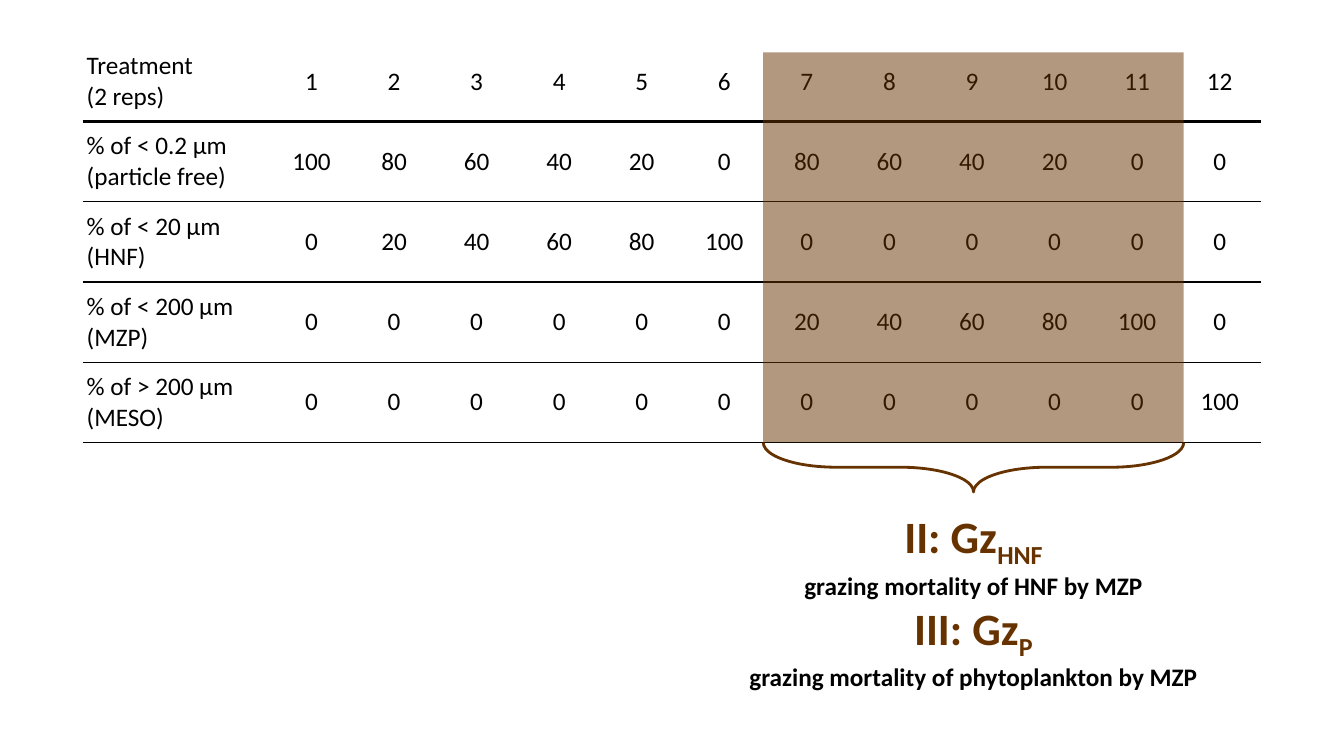
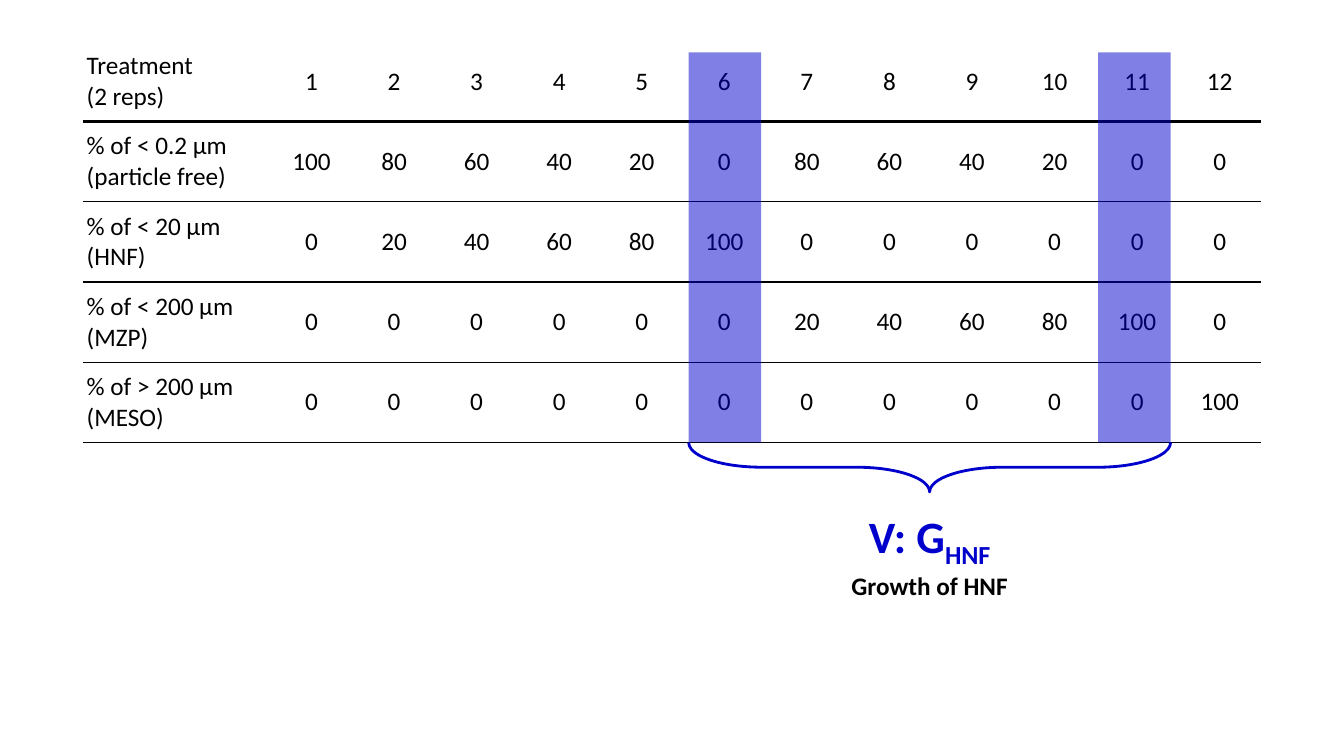
from lxml import etree
from pptx import Presentation
from pptx.dml.color import RGBColor
from pptx.enum.shapes import MSO_SHAPE
from pptx.enum.text import MSO_ANCHOR, MSO_AUTO_SIZE, PP_ALIGN
from pptx.oxml.ns import qn
from pptx.util import Inches, Pt

RECT, BRACE = MSO_SHAPE.RECTANGLE, MSO_SHAPE.RIGHT_BRACE
LEFT, CENTER, MIDDLE = PP_ALIGN.LEFT, PP_ALIGN.CENTER, MSO_ANCHOR.MIDDLE
FIT_SHAPE = MSO_AUTO_SIZE.SHAPE_TO_FIT_TEXT

# Content
ROWS = [
    (("Treatment", "(2 reps)"), range(1, 13)),
    (("% of < 0.2 μm", "(particle free)"),
     (100, 80, 60, 40, 20, 0, 80, 60, 40, 20, 0, 0)),
    (("% of < 20 μm", "(HNF)"),
     (0, 20, 40, 60, 80, 100, 0, 0, 0, 0, 0, 0)),
    (("% of < 200 μm", "(MZP)"),
     (0, 0, 0, 0, 0, 0, 20, 40, 60, 80, 100, 0)),
    (("% of > 200 μm", "(MESO)"),
     (0, 0, 0, 0, 0, 0, 0, 0, 0, 0, 0, 100)),
]
# Bands are (left, width); results are (term, subscript, meaning)
SLIDES = [
    dict(color="663300", bands=[(7.57, 4.17)], text_size=(5.24, 1.78),
         results=[("II: Gz", "HNF", "grazing mortality of HNF by MZP"),
                  ("III: Gz", "P", "grazing mortality of phytoplankton by MZP")]),
    dict(color="0000CC", bands=[(6.83, 0.72), (10.89, 0.72)], text_size=(1.77, 0.94),
         results=[("V: G", "HNF", "Growth of HNF")]),
]

# Shared style and layout
FONT, BLACK = "Calibri", "000000"
BODY_SIZE, TERM_SIZE = 18, 32
TABLE_LEFT, TABLE_TOP, TABLE_W, TABLE_H = 0.82, 0.41, 11.69, 3.98
LABEL_W = 1.86
BAND_TOP, TABLE_BOTTOM = 0.52, TABLE_TOP + TABLE_H
BRACE_DEPTH, TEXT_TOP = 0.49, 5
HEADER_RULE, ROW_RULE = 3, 1
PLAIN_TABLE = "{2D5ABB26-0587-4C30-8999-92F81FD0307C}"


def rgb(color):
    return RGBColor.from_string(color)


def add_run(p, text, size, color=BLACK, bold=False, subscript=False):
    r = p.add_run()
    r.text = text
    r.font.name, r.font.size, r.font.bold = FONT, Pt(size), bold
    r.font.color.rgb = rgb(color)
    if subscript:
        r.font._element.set("baseline", "-25000")


def add_lines(tf, count):
    """Return the given number of paragraphs of an empty text frame."""
    return [tf.paragraphs[0]] + [tf.add_paragraph() for _ in range(count - 1)]


def set_rule(cell, edge, width):
    ln = etree.Element(qn("a:" + edge), w=str(Pt(width)))
    fill = etree.SubElement(ln, qn("a:solidFill"))
    etree.SubElement(fill, qn("a:srgbClr"), val=BLACK)
    cell._tc.get_or_add_tcPr().insert(0, ln)


def fill_cell(cell, lines, align):
    cell.fill.background()
    cell.vertical_anchor = MIDDLE
    cell.margin_left = cell.margin_right = Inches(0.04)
    cell.margin_top = cell.margin_bottom = Inches(0.02)
    for p, line in zip(add_lines(cell.text_frame, len(lines)), lines):
        p.alignment = align
        add_run(p, line, BODY_SIZE)


def add_treatments(s):
    columns = len(ROWS[0][1]) + 1
    frame = s.shapes.add_table(len(ROWS), columns, Inches(TABLE_LEFT), Inches(TABLE_TOP),
                               Inches(TABLE_W), Inches(TABLE_H))
    table = frame.table
    table._tbl.tblPr.find(qn("a:tableStyleId")).text = PLAIN_TABLE
    table.first_row = table.horz_banding = False
    for j, column in enumerate(table.columns):
        column.width = Inches((TABLE_W - LABEL_W) / (columns - 1) if j else LABEL_W)
    for i, (label, values) in enumerate(ROWS):
        texts = [label] + [(str(v),) for v in values]
        for j, lines in enumerate(texts):
            cell = table.cell(i, j)
            fill_cell(cell, lines, CENTER if j else LEFT)
            set_rule(cell, "lnB", ROW_RULE if i else HEADER_RULE)
            if i:
                set_rule(cell, "lnT", HEADER_RULE if i == 1 else ROW_RULE)


def add_band(s, left, width, color):
    sp = s.shapes.add_shape(RECT, Inches(left), Inches(BAND_TOP),
                            Inches(width), Inches(TABLE_BOTTOM - BAND_TOP))
    sp.shadow.inherit = False
    sp.line.fill.background()
    sp.fill.solid()
    sp.fill.fore_color.rgb = rgb(color)
    clr = sp._element.spPr.find(".//" + qn("a:srgbClr"))
    etree.SubElement(clr, qn("a:alpha"), val="50000")


def add_brace(s, center, span, color):
    # A right brace turned a quarter, so its span is its height
    middle = TABLE_BOTTOM + BRACE_DEPTH / 2
    sp = s.shapes.add_shape(BRACE, Inches(center - BRACE_DEPTH / 2), Inches(middle - span / 2),
                            Inches(BRACE_DEPTH), Inches(span))
    sp.rotation = 90
    sp.adjustments[0] = 1.475
    sp.shadow.inherit = False
    sp.fill.background()
    sp.line.color.rgb = rgb(color)
    sp.line.width = Pt(2)


def add_results(s, center, size, results, color):
    width, height = size
    box = s.shapes.add_textbox(Inches(center - width / 2), Inches(TEXT_TOP),
                               Inches(width), Inches(height))
    tf = box.text_frame
    tf.word_wrap = False
    tf.auto_size = FIT_SHAPE
    lines = add_lines(tf, 2 * len(results))
    for p in lines:
        p.alignment = CENTER
    for head, body, (term, sub, meaning) in zip(lines[::2], lines[1::2], results):
        add_run(head, term, TERM_SIZE, color, bold=True)
        add_run(head, sub, TERM_SIZE, color, bold=True, subscript=True)
        add_run(body, meaning, BODY_SIZE, bold=True)


# Build
prs = Presentation()
prs.slide_width, prs.slide_height = Inches(13.33), Inches(7.5)
for content in SLIDES:
    s = prs.slides.add_slide(prs.slide_layouts[6])
    color, bands = content["color"], content["bands"]
    add_treatments(s)
    for left, width in bands:
        add_band(s, left, width, color)
    start, end = bands[0][0], sum(bands[-1])
    center = (start + end) / 2
    add_brace(s, center, end - start, color)
    add_results(s, center, content["text_size"], content["results"], color)
prs.save("out.pptx")
